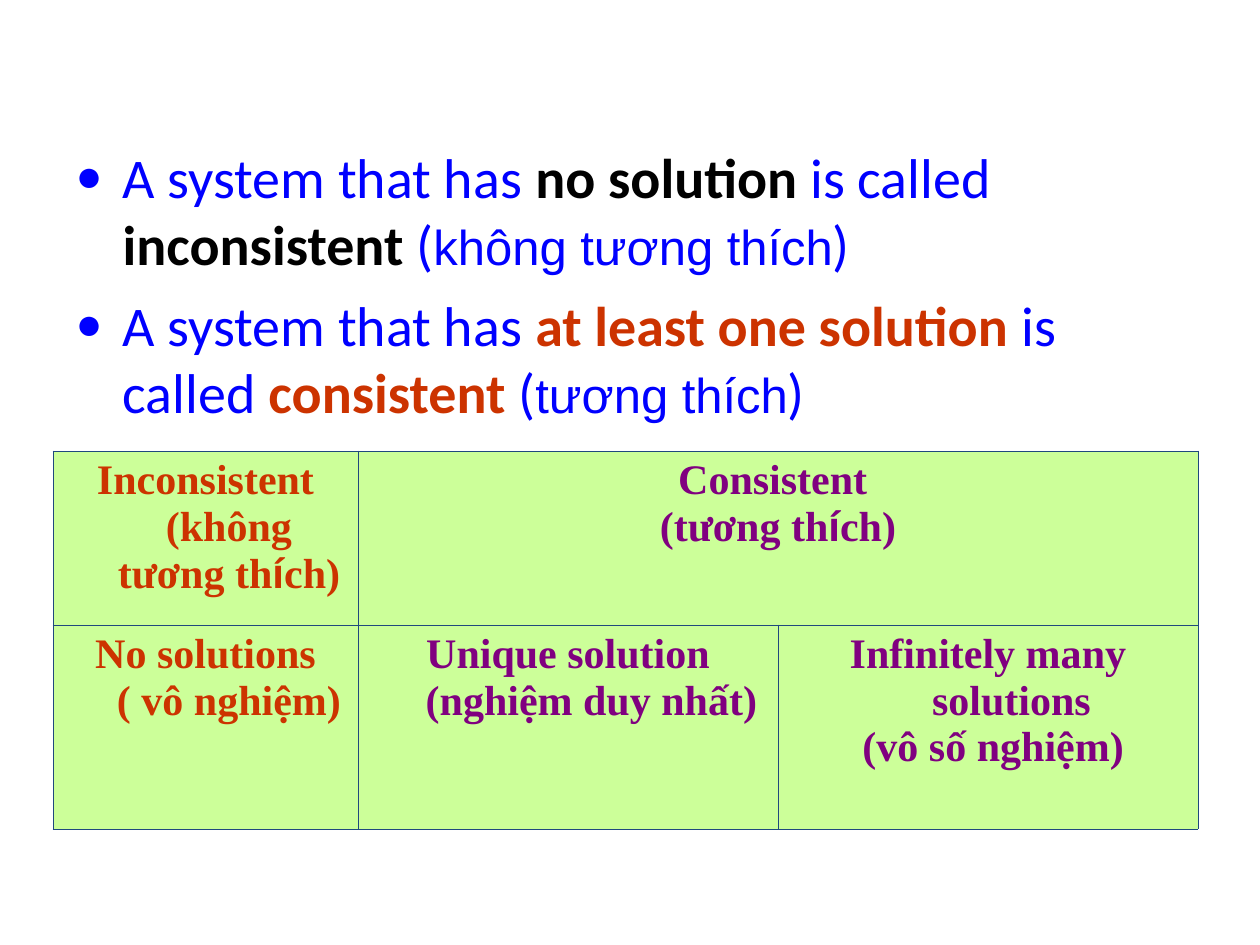
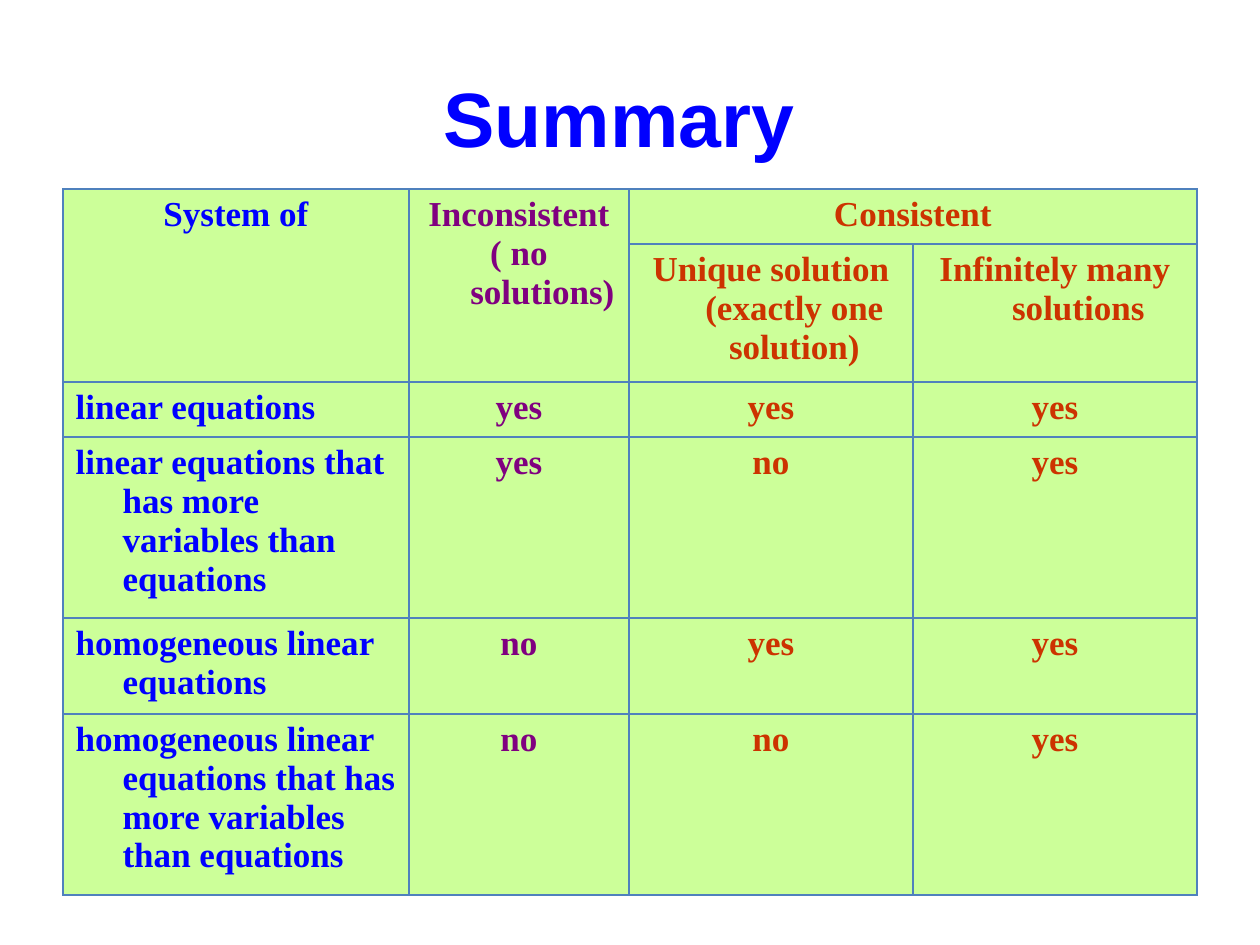
from dataclasses import dataclass

from lxml.etree import SubElement
from pptx import Presentation
from pptx.dml.color import RGBColor
from pptx.enum.text import MSO_ANCHOR, MSO_AUTO_SIZE, PP_ALIGN
from pptx.oxml.ns import qn
from pptx.util import Pt

EMU_PER_PX = 914400 / 126


@dataclass(frozen=True)
class Theme:
    """Colours, fonts, type sizes and shared measures."""
    blue: str = "0000FF"
    red: str = "CC3300"
    purple: str = "800080"
    black: str = "000000"
    cell: str = "CCFF99"
    navy_line: str = "1F497D"
    blue_line: str = "4F81BD"
    title_font: str = "Arial"
    body_font: str = "Calibri"
    table_font: str = "Times New Roman"
    title_size: int = 44
    body_size: int = 32
    note_size: int = 28
    solution_size: int = 24
    summary_size: int = 20
    indent: int = 47


THEME = Theme()


def px(n):
    """Turn pixels into EMU."""
    return round(n * EMU_PER_PX)


def place(shape, left, top, width, height):
    """Move and size a shape, in px."""
    for name, value in dict(left=left, top=top, width=width, height=height).items():
        setattr(shape, name, px(value))


def write(p, runs, **base):
    """Write (text, format) runs into a paragraph; a newline is a line break."""
    for text, changes in runs:
        for i, line in enumerate(text.split("\n")):
            if i:
                p.add_line_break()
            r = p.add_run()
            r.text = line
            fmt = {**base, **changes}
            r.font.color.rgb = RGBColor.from_string(fmt.pop("color"))
            for name, value in fmt.items():
                setattr(r.font, name, value)


def hang(p):
    """Give a paragraph the shared hanging indent."""
    pPr = p._p.get_or_add_pPr()
    pPr.set("marL", str(px(THEME.indent)))
    pPr.set("indent", str(-px(THEME.indent)))
    return pPr


def add_bullet(p, color):
    """Set a round bullet on a paragraph."""
    pPr = hang(p)
    SubElement(SubElement(pPr, qn("a:buClr")), qn("a:srgbClr"), val=color)
    SubElement(pPr, qn("a:buSzPct"), val="80000")
    SubElement(pPr, qn("a:buChar"), char="●")


def add_border(cell, color, width):
    """Draw the four borders of a cell."""
    tcPr = cell._tc.get_or_add_tcPr()
    for side in ("lnL", "lnR", "lnT", "lnB"):
        ln = SubElement(tcPr, qn(f"a:{side}"), w=str(Pt(width)))
        SubElement(SubElement(ln, qn("a:solidFill")), qn("a:srgbClr"), val=color)


def fill_cell(cell, paragraphs, align, **base):
    """Write a list of paragraphs, each a string or a list of runs."""
    tf = cell.text_frame
    for i, runs in enumerate(paragraphs):
        p = tf.add_paragraph() if i else tf.paragraphs[0]
        p.alignment = align
        hang(p)
        write(p, [(runs, {})] if isinstance(runs, str) else runs, **base)


def add_grid(slide, left, top, widths, heights, rows, merges, colors, size, line, aligns):
    """Add a table whose text colour goes by column; None marks a merged cell."""
    frame = slide.shapes.add_table(len(heights), len(widths), px(left), px(top),
                                   px(sum(widths)), px(sum(heights)))
    table = frame.table
    table.first_row = table.horz_banding = False
    for column, width in zip(table.columns, widths):
        column.width = px(width)
    for row, height in zip(table.rows, heights):
        row.height = px(height)
    for r, row in enumerate(rows):
        for c, paragraphs in enumerate(row):
            cell = table.cell(r, c)
            add_border(cell, *line)
            cell.fill.solid()
            cell.fill.fore_color.rgb = RGBColor.from_string(THEME.cell)
            if paragraphs:
                fill_cell(cell, paragraphs, aligns(r, c), name=THEME.table_font,
                          size=Pt(size), bold=True, color=colors[c])
    for first, last in merges:
        table.cell(*first).merge(table.cell(*last))


def add_bullets(body, items):
    """Fill the body placeholder with bulleted items."""
    tf = body.text_frame
    tf.auto_size = MSO_AUTO_SIZE.NONE
    for i, runs in enumerate(items):
        p = tf.add_paragraph() if i else tf.paragraphs[0]
        p.space_before = Pt(8)
        add_bullet(p, THEME.blue)
        write(p, runs, name=THEME.body_font, size=Pt(THEME.body_size),
              bold=False, color=THEME.blue)


def set_title(slide, text):
    """Place and format the title placeholder."""
    title = slide.shapes.title
    place(title, 63, 38, 1134, 157)
    title.text_frame.vertical_anchor = MSO_ANCHOR.MIDDLE
    p = title.text_frame.paragraphs[0]
    p.alignment = PP_ALIGN.CENTER
    write(p, [(text, {})], name=THEME.title_font, size=Pt(THEME.title_size),
          bold=True, color=THEME.blue)


def definition(term, name, translation, color):
    """Return the runs of one definition with its highlighted words."""
    strong = dict(bold=True, color=color)
    note = dict(name=THEME.title_font, size=Pt(THEME.note_size))
    return [("A system that has ", {}), (term, strong), (" is called ", {}),
            (name, strong), (" (", {}), (translation, note), (")", {})]


def with_accent(start):
    """Return runs ending in 'ích)' whose accented letter is in the title font."""
    return [(start, {}), ("í", dict(name=THEME.title_font)), ("ch)", {})]


def definitions_slide(prs):
    """Build the slide that defines consistent and inconsistent systems."""
    s = prs.slides.add_slide(prs.slide_layouts[1])
    title = s.shapes.title._element
    title.getparent().remove(title)
    body = s.placeholders[1]
    place(body, 63, 136, 1113, 305)
    add_bullets(body, [
        definition("no solution", "inconsistent", "không tương thích", THEME.black),
        definition("at least one solution", "consistent", "tương thích", THEME.red),
    ])
    rows = [
        [[with_accent("Inconsistent (không tương th")],
         ["Consistent ", with_accent("(tương th")], None],
        [["No solutions\n( vô nghiệm)"], ["Unique solution (nghiệm duy nhất)"],
         ["Infinitely many solutions", " (vô số nghiệm)"]],
    ]
    add_grid(s, 53, 451, [305, 420, 420], [174, 204], rows, [((0, 1), (0, 2))],
             [THEME.red, THEME.purple, THEME.purple], THEME.solution_size,
             (THEME.navy_line, 0.45), lambda r, c: PP_ALIGN.CENTER)


def summary_slide(prs):
    """Build the summary of solution counts by kind of system."""
    s = prs.slides.add_slide(prs.slide_layouts[5])
    set_title(s, "Summary ")
    answers = {
        "linear equations": "yes yes yes",
        "linear equations that has more variables than equations": "yes no yes",
        "homogeneous linear equations": "no yes yes",
        "homogeneous linear equations that has more variables than equations": "no no yes",
    }
    rows = [
        [["System of"], ["Inconsistent", "( no solutions)"], ["Consistent"], None],
        [None, None, ["Unique solution (exactly one solution)"],
         ["Infinitely many solutions"]],
    ]
    rows += [[[kind], *([word] for word in words.split())]
             for kind, words in answers.items()]
    merges = [((0, 0), (1, 0)), ((0, 1), (1, 1)), ((0, 2), (0, 3))]
    add_grid(s, 63, 189, [346, 220, 284, 284], [55, 138, 55, 181, 96, 181], rows, merges,
             [THEME.blue, THEME.purple, THEME.red, THEME.red], THEME.summary_size,
             (THEME.blue_line, 1.08),
             lambda r, c: PP_ALIGN.LEFT if c == 0 and r > 1 else PP_ALIGN.CENTER)


def main():
    """Build and save the two slides."""
    prs = Presentation()
    prs.slide_width, prs.slide_height = px(1260), px(945)
    definitions_slide(prs)
    summary_slide(prs)
    prs.save("out.pptx")


if __name__ == "__main__":
    main()
